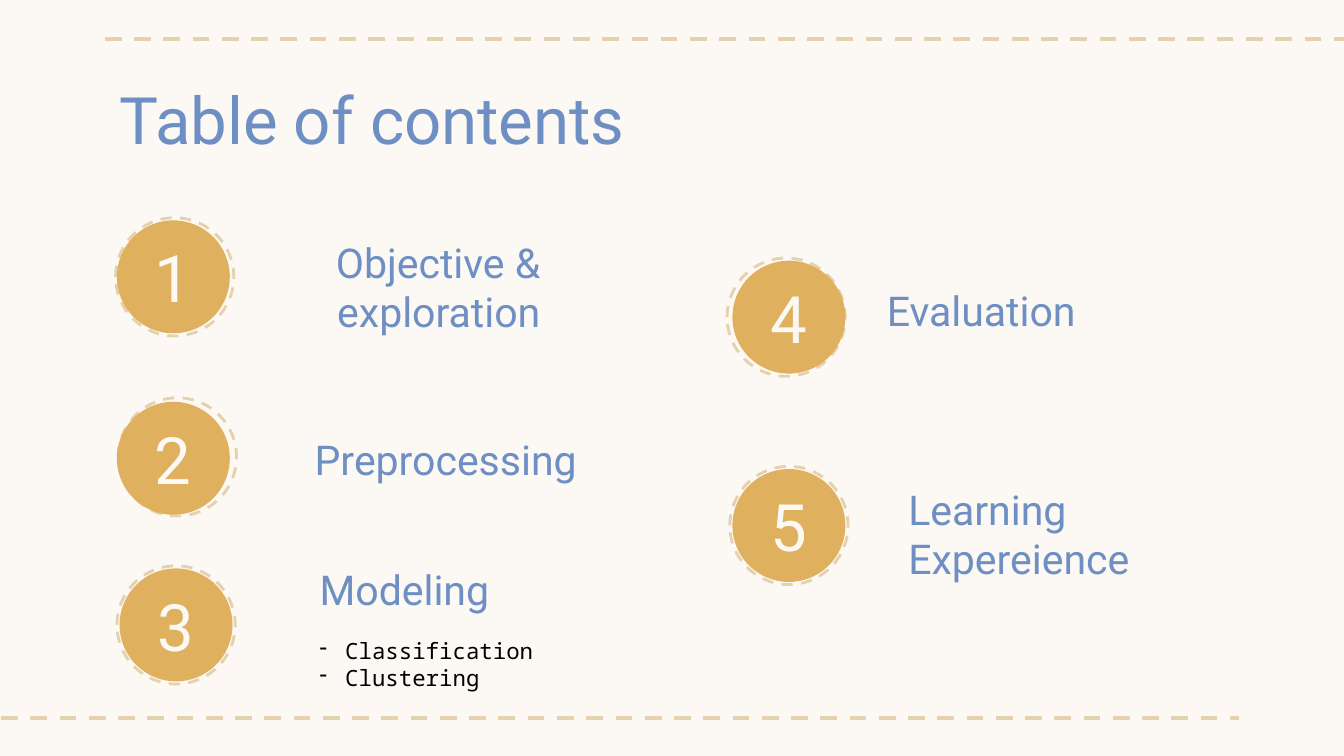
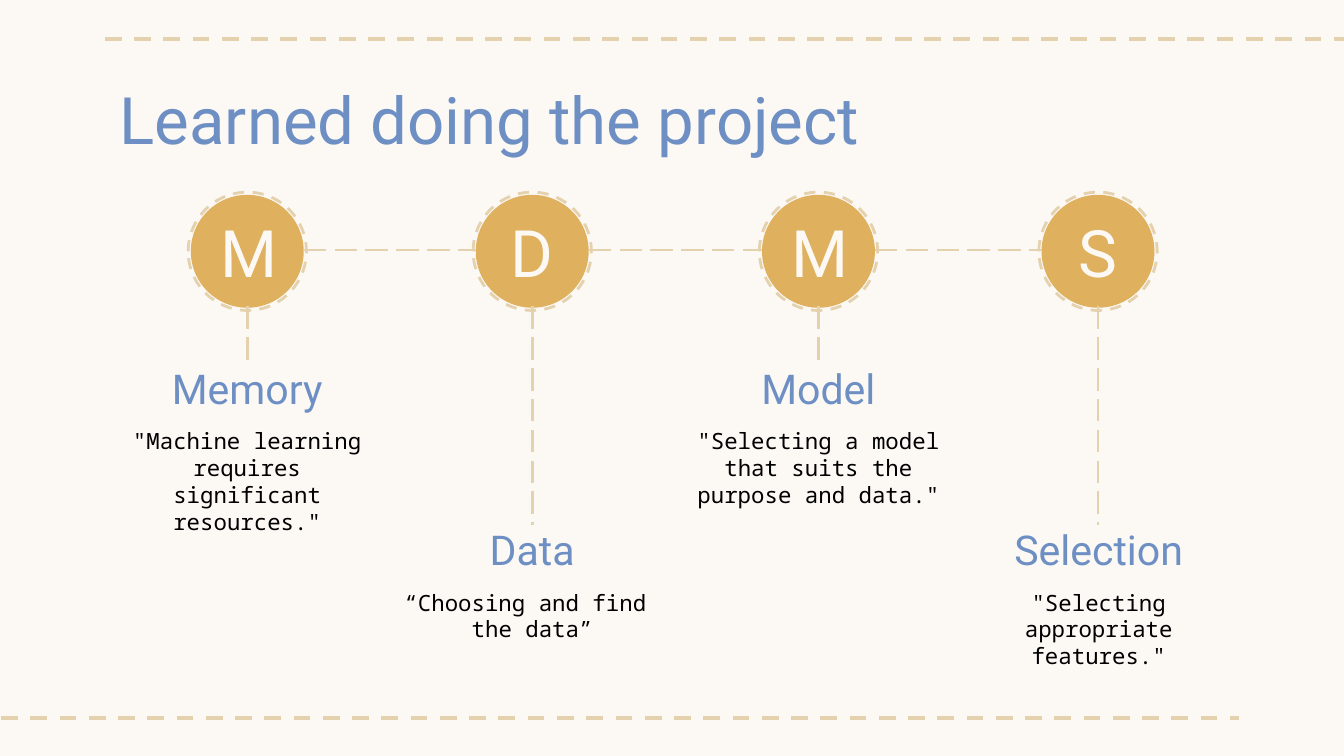
from itertools import pairwise

from lxml import etree
from pptx import Presentation
from pptx.dml.color import RGBColor
from pptx.enum.dml import MSO_LINE
from pptx.enum.shapes import MSO_CONNECTOR, MSO_SHAPE
from pptx.enum.text import MSO_ANCHOR, MSO_AUTO_SIZE, PP_ALIGN
from pptx.oxml.ns import qn
from pptx.util import Pt

PX = 9144  # 100 px to the inch
CREAM = RGBColor(0xFC, 0xF8, 0xF4)
SAND = RGBColor(0xE4, 0xD1, 0xAD)
OCHRE = RGBColor(0xDF, 0xB0, 0x5E)
BLUE = RGBColor(0x6E, 0x8F, 0xC3)
BLACK = RGBColor(0, 0, 0)
HEADING_FONT = "Roboto"
BODY_FONT = "Noto Sans Mono"
TITLE_SIZE, HEADING_SIZE, BODY_SIZE = 35, 22, 12

LEFT, CENTER, RIGHT = PP_ALIGN.LEFT, PP_ALIGN.CENTER, PP_ALIGN.RIGHT
TOP, MIDDLE, BOTTOM = MSO_ANCHOR.TOP, MSO_ANCHOR.MIDDLE, MSO_ANCHOR.BOTTOM
DASH, LONG_DASH = MSO_LINE.DASH, MSO_LINE.LONG_DASH

SLIDE_WIDTH = 1000
TITLE_BOX = (79, 49, 843, 63)
EDGE_LINES = [(78, 29, 1021, 29), (-21, 534, 922, 534)]
INSET = 10
RING, DISC, DISC_SHIFT = 88, 84, 2
HEADING_HEIGHT = 46
BULLET_INDENT = 19

# number, ring left and top, disc shift, heading, heading box left, top and width, alignment
CONTENTS = [
    ("1", (86, 162), (1, 2), "Objective & exploration", (129, 214, 283), RIGHT),
    ("2", (88, 296), (-1, 3), "Preprocessing", (195, 324, 244), RIGHT),
    ("3", (87, 421), (2, 2), "Modeling", (228, 421, 244), LEFT),
    ("4", (541, 192), (4, 2), "Evaluation", (650, 213, 244), LEFT),
    ("5", (543, 347), (2, 2), "Learning Expereience", (666, 398, 244), LEFT),
]
MODELING_BOX = (228, 464, 244, 85)
MODELING_STEPS = ["Classification", "Clustering"]

# letter, column centre, heading top, text width, heading, lines
LESSONS = [
    ("M", 184, 271, 216, "Memory", ['"Machine learning requires significant resources."']),
    ("D", 396, 391, 216, "Data", ["“Choosing and find ", "the data”"]),
    ("M", 609, 271, 216, "Model", ['"Selecting a model that suits the purpose and data."']),
    ("S", 817, 391, 209, "Selection", ['"Selecting appropriate features."']),
]
BADGE_CENTER = 186
BODY_OFFSET = 37


def to_emu(*lengths):
    return [length * PX for length in lengths]


def write(shape, lines, font_name, size, color, align, anchor, bullet=None):
    text_frame = shape.text_frame
    text_frame.word_wrap = True
    text_frame.auto_size = MSO_AUTO_SIZE.NONE
    text_frame.vertical_anchor = anchor
    text_frame.margin_left = text_frame.margin_right = INSET * PX
    text_frame.margin_top = text_frame.margin_bottom = INSET * PX
    text_frame.text = "\n".join(lines)
    for paragraph in text_frame.paragraphs:
        paragraph.alignment = align
        if bullet:
            add_bullet(paragraph, bullet, color)
        for run in paragraph.runs:
            run.font.name = font_name
            run.font.size = Pt(size)
            run.font.color.rgb = color


def add_bullet(paragraph, character, color):
    properties = paragraph._p.get_or_add_pPr()
    properties.set("marL", str(BULLET_INDENT * PX))
    properties.set("indent", str(-BULLET_INDENT * PX))
    bullet_color = etree.SubElement(properties, qn("a:buClr"))
    etree.SubElement(bullet_color, qn("a:srgbClr"), val=str(color))
    etree.SubElement(properties, qn("a:buChar"), char=character)


def add_heading(slide, left, top, width, text, align):
    box = slide.shapes.add_textbox(*to_emu(left, top, width, HEADING_HEIGHT))
    write(box, [text], HEADING_FONT, HEADING_SIZE, BLUE, align, BOTTOM)


def add_body(slide, box, lines, align, bullet=None):
    text_box = slide.shapes.add_textbox(*to_emu(*box))
    write(text_box, lines, BODY_FONT, BODY_SIZE, BLACK, align, TOP, bullet)


def add_line(slide, ends, width, dash):
    line = slide.shapes.add_connector(MSO_CONNECTOR.STRAIGHT, *to_emu(*ends))
    line.line.color.rgb = SAND
    line.line.width = Pt(width)
    line.line.dash_style = dash
    etree.SubElement(line.element.spPr, qn("a:effectLst"))
    return line


def add_circle(slide, left, top, diameter):
    circle = slide.shapes.add_shape(MSO_SHAPE.OVAL, *to_emu(left, top, diameter, diameter))
    circle.shadow.inherit = False
    return circle


def add_badge(slide, left, top, text, shift=(DISC_SHIFT, DISC_SHIFT)):
    """Draw a filled disc with a character inside a dashed ring."""
    ring = add_circle(slide, left, top, RING)
    ring.fill.background()
    ring.line.color.rgb = SAND
    ring.line.width = Pt(1.5)
    ring.line.dash_style = DASH
    disc = add_circle(slide, left + shift[0], top + shift[1], DISC)
    disc.fill.solid()
    disc.fill.fore_color.rgb = OCHRE
    disc.line.fill.background()
    write(disc, [text], HEADING_FONT, TITLE_SIZE, CREAM, CENTER, MIDDLE)


def add_titled_slide(presentation, title):
    slide = presentation.slides.add_slide(presentation.slide_layouts[5])
    placeholder = slide.shapes.title
    placeholder.left, placeholder.top, placeholder.width, placeholder.height = to_emu(*TITLE_BOX)
    write(placeholder, [title], HEADING_FONT, TITLE_SIZE, BLUE, LEFT, TOP)
    return slide


def style_master(presentation, slide):
    """Give the master its background and edge lines, drawn on a slide and moved over."""
    master = presentation.slide_master
    master.background.fill.solid()
    master.background.fill.fore_color.rgb = CREAM
    for number, ends in enumerate(EDGE_LINES, start=100):
        line = add_line(slide, ends, 2.25, DASH).element
        line.nvCxnSpPr.cNvPr.set("id", str(number))
        master.shapes.element.append(line)


def build_contents(presentation):
    slide = add_titled_slide(presentation, "Table of contents")
    for number, badge, shift, heading, heading_box, align in CONTENTS:
        add_badge(slide, *badge, number, shift)
        add_heading(slide, *heading_box, heading, align)
    add_body(slide, MODELING_BOX, MODELING_STEPS, LEFT, bullet="-")
    return slide


def build_lessons(presentation):
    slide = add_titled_slide(presentation, "Learned doing the project")
    radius = DISC // 2
    for letter, center, top, width, heading, lines in LESSONS:
        left = center - width // 2
        add_badge(slide, center - RING // 2, BADGE_CENTER - RING // 2 + 1, letter)
        add_heading(slide, left, top, width, heading, CENTER)
        add_body(slide, (left, top + BODY_OFFSET, width, 75), lines, CENTER)
        add_line(slide, (center, BADGE_CENTER + radius, center, top), 1.5, LONG_DASH)
    for start, end in pairwise(lesson[1] for lesson in LESSONS):
        ends = (start + radius, BADGE_CENTER, end - radius, BADGE_CENTER)
        add_line(slide, ends, 1.5, LONG_DASH)


def main():
    presentation = Presentation()
    presentation.slide_width = SLIDE_WIDTH * PX
    presentation.slide_height = presentation.slide_width * 9 // 16
    contents = build_contents(presentation)
    style_master(presentation, contents)
    build_lessons(presentation)
    presentation.save("out.pptx")


if __name__ == "__main__":
    main()
